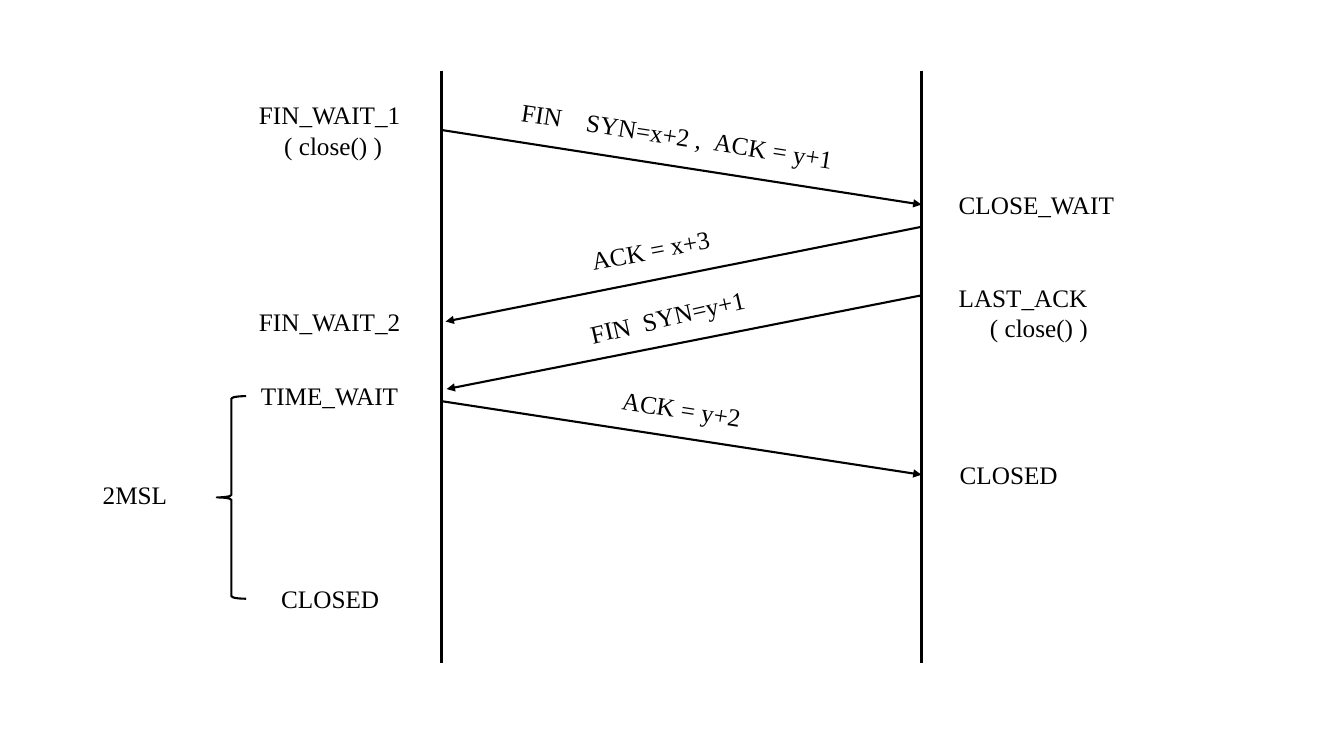
from dataclasses import dataclass

from lxml.etree import SubElement
from pptx import Presentation
from pptx.dml.color import RGBColor
from pptx.enum.shapes import MSO_CONNECTOR as Connector, MSO_SHAPE as Shape
from pptx.oxml.ns import qn
from pptx.util import Inches, Pt


@dataclass(frozen=True)
class Theme:
    ink: RGBColor = RGBColor(0, 0, 0)
    font: str = "Times New Roman"
    text_size: Pt = Pt(18)
    lifeline_width: Pt = Pt(2)
    arrow_width: Pt = Pt(1.5)


class Diagram:
    def __init__(self, slide, theme):
        self.shapes = slide.shapes
        self.theme = theme

    def line(self, start, end, width, arrow=False):
        connector = self.shapes.add_connector(
            Connector.STRAIGHT, *(Inches(v) for v in (*start, *end)))
        connector.line.color.rgb = self.theme.ink
        connector.line.width = width
        properties = connector._element.spPr
        if arrow:
            SubElement(properties.find(qn("a:ln")), qn("a:tailEnd"), type="triangle")
        SubElement(properties, qn("a:effectLst"))

    def label(self, left, top, width, lines, indent=0, rotation=0, tabs=()):
        """Write a label; lines after the first are indented."""
        height = 0.1 + 0.3 * len(lines)
        box = self.shapes.add_textbox(*(Inches(v) for v in (left, top, width, height)))
        box.rotation = rotation
        frame = box.text_frame
        frame.word_wrap = True
        frame.margin_right = 0
        frame.text = "\n".join(lines)
        for number, paragraph in enumerate(frame.paragraphs):
            font = paragraph.font
            font.name = self.theme.font
            font.size = self.theme.text_size
            font.color.rgb = self.theme.ink
            properties = paragraph._p.get_or_add_pPr()
            if number:
                properties.set("marL", str(Inches(indent)))
            if tabs:
                stops = SubElement(properties, qn("a:tabLst"))
                for stop in tabs:
                    SubElement(stops, qn("a:tab"), pos=str(Inches(stop)), algn="l")
                properties.insert(0, stops)

    def brace(self, left, top, width, height):
        brace = self.shapes.add_shape(
            Shape.LEFT_BRACE, *(Inches(v) for v in (left, top, width, height)))
        brace.shadow.inherit = False
        brace.fill.background()
        brace.line.color.rgb = self.theme.ink
        brace.line.width = self.theme.arrow_width


presentation = Presentation()
presentation.slide_width = Inches(13.33)
presentation.slide_height = Inches(7.5)
theme = Theme()
diagram = Diagram(presentation.slides.add_slide(presentation.slide_layouts[6]), theme)

# Lifelines of the two hosts
CLIENT_X, SERVER_X = 4.38, 9.14
for host_x in (CLIENT_X, SERVER_X):
    diagram.line((host_x, 0.7), (host_x, 6.58), theme.lifeline_width)

# Segments exchanged: start, end, then label place, text, angle and tab stops
segments = [
    ((CLIENT_X, 1.29), (SERVER_X, 2.03),
     (5.06, 1.15, 3.4), "FIN\tSYN=x+2 ,\tACK = y+1", 8.7, (0.65, 1.93)),
    ((SERVER_X, 2.25), (4.42, 3.19), (5.76, 2.27, 1.46), "ACK = x+3", 349.3, ()),
    ((SERVER_X, 2.93), (4.43, 3.86),
     (5.74, 2.94, 1.78), "FIN\tSYN=y+1", 347.1, (0.53,)),
    ((CLIENT_X, 3.98), (SERVER_X, 4.71), (6.07, 3.86, 1.46), "ACK = y+2", 8.7, ()),
]
for start, end, place, message, angle, tabs in segments:
    diagram.line(start, end, theme.arrow_width, arrow=True)
    diagram.label(*place, [message], rotation=angle, tabs=tabs)

# Connection states: left, top, width, lines, indent of the call
states = [
    (2.47, 0.94, 1.62, ["FIN_WAIT_1", "( close() )"], 0.25),
    (2.47, 2.99, 1.62, ["FIN_WAIT_2"]),
    (2.49, 3.72, 1.58, ["TIME_WAIT"]),
    (2.69, 5.74, 1.18, ["CLOSED"]),
    (9.41, 1.83, 1.76, ["CLOSE_WAIT"]),
    (9.41, 2.75, 1.49, ["LAST_ACK", "( close() )"], 0.31),
    (9.42, 4.51, 1.18, ["CLOSED"]),
]
for state in states:
    diagram.label(*state)

# Waiting time before the client closes
diagram.brace(2.15, 3.93, 0.29, 2.01)
diagram.label(0.92, 4.71, 0.85, ["2MSL"])

presentation.save("out.pptx")
